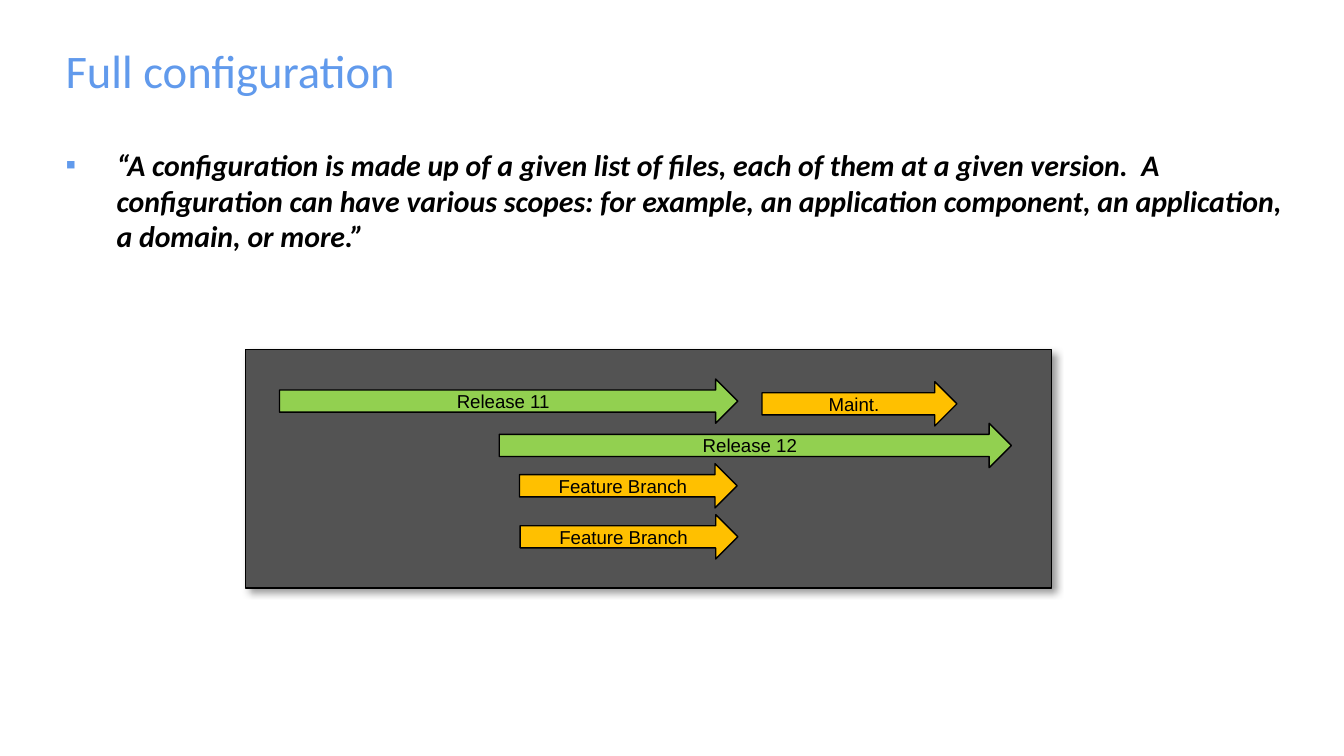
from dataclasses import dataclass
from typing import Any

from lxml import etree
from pptx import Presentation
from pptx import util as u
from pptx.dml.color import RGBColor
from pptx.enum import shapes, text
from pptx.oxml import ns

SLIDE_WIDTH = u.Inches(10)
SLIDE_HEIGHT = SLIDE_WIDTH * 9 // 16
CELL = SLIDE_WIDTH // 100


@dataclass(frozen=True)
class Theme:
    accent: str = "619AEC"
    ink: str = "000000"
    panel: str = "535353"
    release: str = "92D050"
    branch: str = "FFC000"
    heading_font: str = "Calibri"
    label_font: str = "Arial"
    title_size: float = 25
    body_size: float = 16
    label_size: float = 10
    outline: float = 0.75


@dataclass(frozen=True)
class Area:
    column: float
    row: float
    columns: float
    rows: float

    def lengths(self) -> list[int]:
        return [round(value * CELL) for value in (self.column, self.row, self.columns, self.rows)]


@dataclass(frozen=True)
class Stream:
    label: str
    fill: str
    column: float
    row: float
    columns: float


THEME = Theme()
ARROW_ROWS = 3.3
TITLE_AREA = Area(3.9, 2.55, 93.6, 5.3)
BODY_AREA = Area(3.9, 10.4, 93.6, 37.2)
PANEL_AREA = Area(18.25, 26, 60, 17.75)
STREAMS = [
    Stream("Release 11", THEME.release, 20.8, 28.2, 34.1),
    Stream("Release 12", THEME.release, 37.15, 31.5, 38.1),
    Stream("Maint.", THEME.branch, 56.7, 28.4, 14.5),
    Stream("Feature Branch", THEME.branch, 38.65, 34.5, 16.2),
    Stream("Feature Branch", THEME.branch, 38.7, 38.3, 16.2),
]
QUOTE = (
    "“A configuration is made up of a given list of files, each of them at a given version.  "
    "A configuration can have various scopes: for example, an application component, "
    "an application, a domain, or more.”"
)


def apply(target: Any, values: dict[str, Any]) -> None:
    for name, value in values.items():
        setattr(target, name, value)


def add_element(parent: Any, tag: str, **attributes: str) -> Any:
    return etree.SubElement(parent, ns.qn(tag), attributes)


def write(paragraph: Any, content: str, color: str, **font: Any) -> None:
    run = paragraph.add_run()
    run.text = content
    apply(run.font, font)
    run.font.color.rgb = RGBColor.from_string(color)


def add_text_area(slide: Any, area: Area, anchor: Any) -> Any:
    frame = slide.shapes.add_textbox(*area.lengths()).text_frame
    apply(frame, {"word_wrap": True, "vertical_anchor": anchor})
    return frame.paragraphs[0]


def add_bullet(paragraph: Any, symbol: str, color: str, indent: int) -> None:
    properties = paragraph._p.get_or_add_pPr()
    properties.set("marL", str(indent))
    properties.set("indent", str(-indent))
    add_element(add_element(properties, "a:buClr"), "a:srgbClr", val=color)
    add_element(properties, "a:buFont", typeface=THEME.label_font)
    add_element(properties, "a:buChar", char=symbol)


def add_block(group: Any, kind: Any, area: Area, fill: str) -> Any:
    shape = group.shapes.add_shape(kind, *area.lengths())
    shape.shadow.inherit = False
    shape.fill.solid()
    shape.fill.fore_color.rgb = RGBColor.from_string(fill)
    shape.line.color.rgb = RGBColor.from_string(THEME.ink)
    shape.line.width = u.Pt(THEME.outline)
    return shape


def cast_shadow(shape: Any) -> None:
    effects = shape._element.spPr.find(ns.qn("a:effectLst"))
    shadow = add_element(
        effects, "a:outerShdw", blurRad=str(u.Pt(4)), dist=str(u.Pt(3)),
        dir="2700000", algn="tl", rotWithShape="0",
    )
    color = add_element(shadow, "a:srgbClr", val=THEME.ink)
    add_element(color, "a:alpha", val="40000")


def add_stream(group: Any, stream: Stream) -> None:
    area = Area(stream.column, stream.row, stream.columns, ARROW_ROWS)
    arrow = add_block(group, shapes.MSO_SHAPE.RIGHT_ARROW, area, stream.fill)
    margins = {f"margin_{side}": 0 for side in ("left", "top", "right", "bottom")}
    apply(arrow.text_frame, {"vertical_anchor": text.MSO_ANCHOR.MIDDLE, **margins})
    paragraph = arrow.text_frame.paragraphs[0]
    paragraph.alignment = text.PP_ALIGN.CENTER
    write(paragraph, stream.label, THEME.ink, name=THEME.label_font, size=u.Pt(THEME.label_size))


def main() -> None:
    presentation = Presentation()
    apply(presentation, {"slide_width": SLIDE_WIDTH, "slide_height": SLIDE_HEIGHT})
    slide = presentation.slides.add_slide(presentation.slide_layouts[6])

    title = add_text_area(slide, TITLE_AREA, text.MSO_ANCHOR.MIDDLE)
    write(title, "Full configuration", THEME.accent,
          name=THEME.heading_font, size=u.Pt(THEME.title_size))

    body = add_text_area(slide, BODY_AREA, text.MSO_ANCHOR.TOP)
    add_bullet(body, "▪", THEME.accent, u.Inches(0.38))
    write(body, QUOTE, THEME.ink, name=THEME.heading_font,
          size=u.Pt(THEME.body_size), bold=True, italic=True)

    timeline = slide.shapes.add_group_shape()
    panel = add_block(timeline, shapes.MSO_SHAPE.RECTANGLE, PANEL_AREA, THEME.panel)
    cast_shadow(panel)
    for stream in STREAMS:
        add_stream(timeline, stream)

    presentation.save("out.pptx")


if __name__ == "__main__":
    main()
